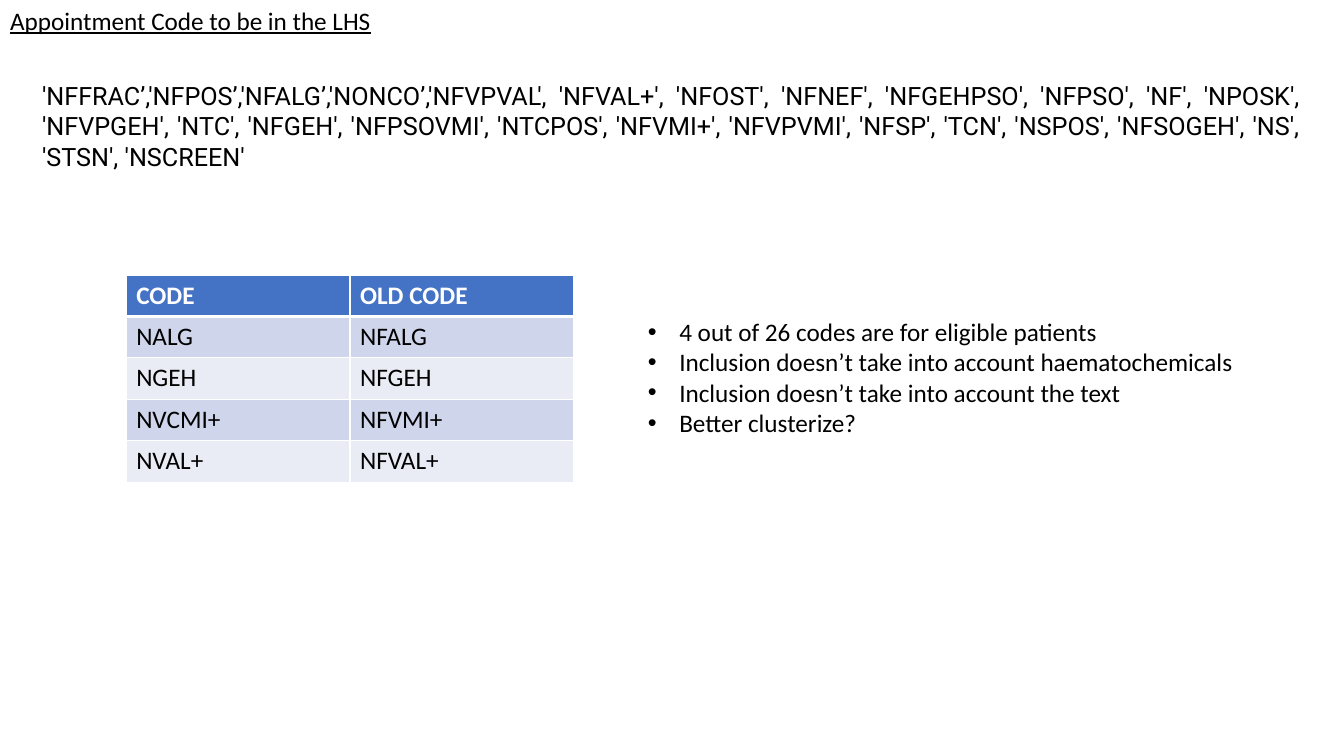
from dataclasses import dataclass

from lxml import etree
from pptx import Presentation
from pptx.dml.color import RGBColor
from pptx.enum.text import MSO_ANCHOR, MSO_AUTO_SIZE, PP_ALIGN
from pptx.oxml.ns import qn
from pptx.util import Cm, Pt

TOP = MSO_ANCHOR.TOP
FIT_SHAPE = MSO_AUTO_SIZE.SHAPE_TO_FIT_TEXT
LEFT = PP_ALIGN.LEFT
JUSTIFY = PP_ALIGN.JUSTIFY
TITLE_ONLY = 5


@dataclass(frozen=True)
class Theme:
    """Colours, fonts and sizes of the slide."""
    text: str = "000000"
    light: str = "FFFFFF"
    header: str = "4472C4"
    bands: tuple = ("CFD5EA", "E9EBF5")
    body_font: str = "Calibri"
    code_font: str = "Roboto"
    size: int = 18
    border: int = 1
    header_border: int = 3
    bullet_indent: float = 0.79


THEME = Theme()
HEADING = "Appointment Code to be in the LHS"
CODES = (
    "'NFFRAC’,'NFPOS’,'NFALG’,'NONCO’,'NFVPVAL', 'NFVAL+', 'NFOST', 'NFNEF', "
    "'NFGEHPSO', 'NFPSO', 'NF', 'NPOSK', 'NFVPGEH', 'NTC', 'NFGEH', 'NFPSOVMI', "
    "'NTCPOS', 'NFVMI+', 'NFVPVMI', 'NFSP', 'TCN', 'NSPOS', 'NFSOGEH', 'NS', "
    "'STSN', 'NSCREEN'"
)
CODE_CHANGES = [
    ("CODE", "OLD CODE"),
    ("NALG", "NFALG"),
    ("NGEH", "NFGEH"),
    ("NVCMI+", "NFVMI+"),
    ("NVAL+", "NFVAL+"),
]
FINDINGS = [
    "4 out of 26 codes are for eligible patients",
    "Inclusion doesn’t take into account haematochemicals",
    "Inclusion doesn’t take into account the text",
    "Better clusterize?",
]


def format_text(frame, font=THEME.body_font, color=THEME.text, bold=False,
                underline=False, align=LEFT):
    """Format every run of a text frame."""
    for paragraph in frame.paragraphs:
        paragraph.alignment = align
        for run in paragraph.runs:
            run.font.name = font
            run.font.size = Pt(THEME.size)
            run.font.color.rgb = RGBColor.from_string(color)
            run.font.bold = bold
            run.font.underline = underline


def fit_frame(frame):
    """Wrap the text from the top and let its shape grow."""
    frame.word_wrap = True
    frame.vertical_anchor = TOP
    frame.auto_size = FIT_SHAPE


def add_heading(slide, left, top, width, height):
    """Place the underlined title in the given box."""
    heading = slide.shapes.title
    heading.left, heading.top, heading.width, heading.height = left, top, width, height
    heading.text_frame.text = HEADING
    fit_frame(heading.text_frame)
    format_text(heading.text_frame, underline=True)


def add_code_list(slide, left, top, width, height):
    """Place the justified list of appointment codes."""
    frame = slide.shapes.add_textbox(left, top, width, height).text_frame
    frame.text = CODES
    fit_frame(frame)
    format_text(frame, font=THEME.code_font, align=JUSTIFY)


def add_bullet(paragraph):
    """Give a paragraph a hanging round bullet."""
    indent = Cm(THEME.bullet_indent)
    properties = paragraph._p.get_or_add_pPr()
    properties.set("marL", str(indent))
    properties.set("indent", str(-indent))
    etree.SubElement(properties, qn("a:buFont"), typeface="Arial")
    etree.SubElement(properties, qn("a:buChar"), char="•")


def add_findings(slide, left, top, width, height):
    """Place the bulleted findings."""
    frame = slide.shapes.add_textbox(left, top, width, height).text_frame
    frame.text = "\n".join(FINDINGS)
    fit_frame(frame)
    for paragraph in frame.paragraphs:
        add_bullet(paragraph)
    format_text(frame)


def set_borders(cell, top_width, bottom_width):
    """Draw the light borders of a table cell."""
    widths = {"L": THEME.border, "R": THEME.border, "T": top_width, "B": bottom_width}
    properties = cell._tc.get_or_add_tcPr()
    for side, width in widths.items():
        line = etree.SubElement(properties, qn(f"a:ln{side}"), w=str(Pt(width)))
        fill = etree.SubElement(line, qn("a:solidFill"))
        etree.SubElement(fill, qn("a:srgbClr"), val=THEME.light)


def add_code_table(slide, left, top, width, height):
    """Place the table of new and old codes."""
    table = slide.shapes.add_table(
        len(CODE_CHANGES), len(CODE_CHANGES[0]), left, top, width, height).table
    for row, codes in enumerate(CODE_CHANGES):
        is_header = row == 0
        color = THEME.header if is_header else THEME.bands[(row - 1) % 2]
        top_width = THEME.header_border if row == 1 else THEME.border
        bottom_width = THEME.header_border if is_header else THEME.border
        for column, code in enumerate(codes):
            cell = table.cell(row, column)
            cell.text_frame.text = code
            format_text(cell.text_frame, bold=is_header,
                        color=THEME.light if is_header else THEME.text)
            set_borders(cell, top_width, bottom_width)
            cell.fill.solid()
            cell.fill.fore_color.rgb = RGBColor.from_string(color)


def main():
    """Build and save the slide."""
    presentation = Presentation()
    presentation.slide_width, presentation.slide_height = Cm(33.87), Cm(19.05)
    slide = presentation.slides.add_slide(presentation.slide_layouts[TITLE_ONLY])
    add_heading(slide, Cm(0), Cm(0), Cm(11.13), Cm(1.02))
    add_code_table(slide, Cm(3.18), Cm(6.93), Cm(11.28), Cm(5.22))
    add_findings(slide, Cm(16.08), Cm(7.85), Cm(15.42), Cm(3.33))
    add_code_list(slide, Cm(0.81), Cm(1.9), Cm(32.23), Cm(1.8))
    presentation.save("out.pptx")


if __name__ == "__main__":
    main()
